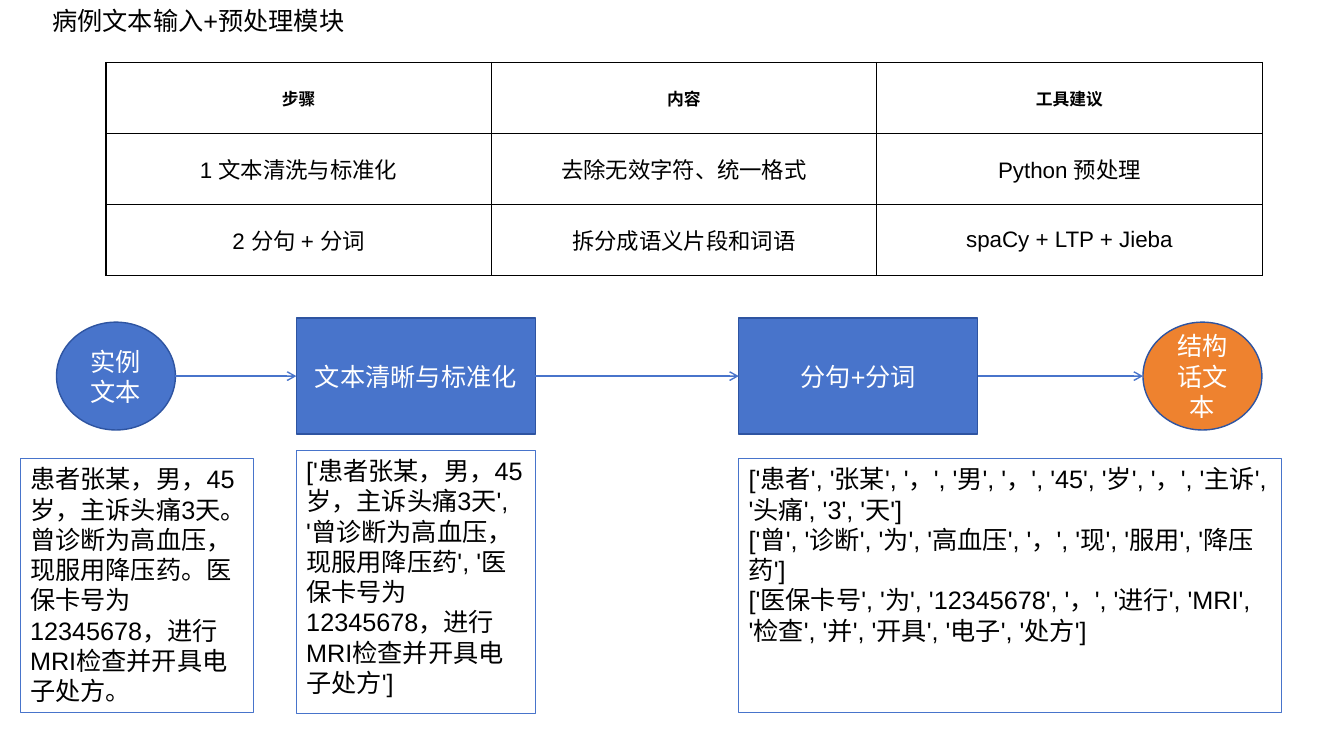
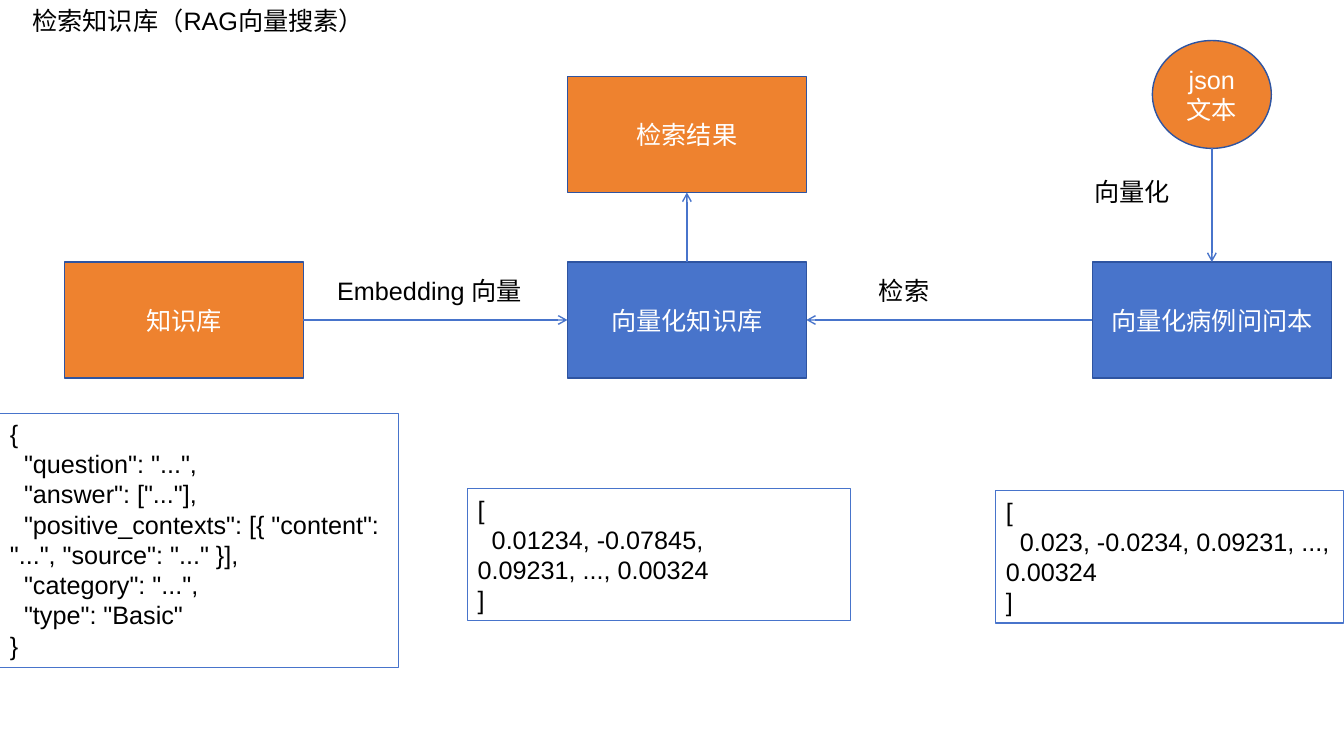
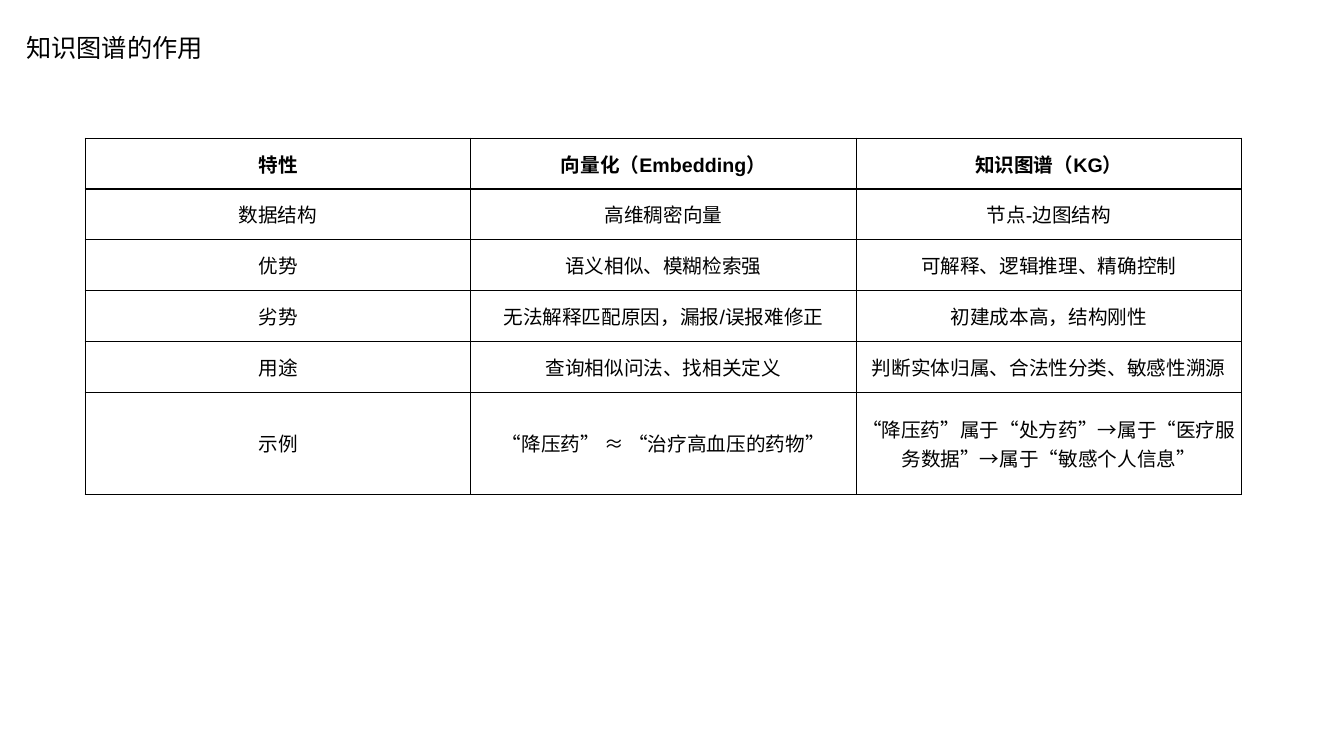
import pptx
import pptx.dml.color
import pptx.enum.shapes
import pptx.enum.text
import pptx.oxml
import pptx.oxml.ns
import pptx.util
from lxml import etree

SHAPES = pptx.enum.shapes.MSO_SHAPE
ALIGN = pptx.enum.text.PP_ALIGN
ANCHOR = pptx.enum.text.MSO_ANCHOR

# Shared style
WIDTH, HEIGHT = pptx.util.Inches(13.33), pptx.util.Inches(7.5)
FONT = "Arial"
BLUE, ORANGE, NAVY = "4874CB", "EE822F", "2E54A1"
BLACK, WHITE = "000000", "FFFFFF"
BODY_SIZE = 18

# Sizes shared by the diagrams, in percent of the slide
STEP = (17.78, 15.33)
CIRCLE = (8.85, 14.27)
LINE_HEIGHT = 5.33
TABLE_WIDTH = 86.03


def color(value):
    return pptx.dml.color.RGBColor.from_string(value)


def across(share):
    return round(WIDTH * share / 100)


def down(share):
    return round(HEIGHT * share / 100)


def area(left, top, width, height):
    return across(left), down(top), across(width), down(height)


def write(frame, text, size=BODY_SIZE, ink=BLACK, bold=False,
          align=ALIGN.LEFT, anchor=ANCHOR.TOP, indented=()):
    """Fill a text frame; the lines numbered in indented start further in."""
    frame.word_wrap = True
    frame.auto_size = pptx.enum.text.MSO_AUTO_SIZE.NONE
    frame.vertical_anchor = anchor
    frame.text = text
    for number, paragraph in enumerate(frame.paragraphs):
        paragraph.alignment = align
        if number in indented:
            properties = paragraph._p.get_or_add_pPr()
            properties.set("marL", "0")
            properties.set("indent", str(pptx.util.Inches(0.14)))
        for run in paragraph.runs:
            run.font.name = FONT
            run.font.size = pptx.util.Pt(size)
            run.font.bold = bold
            run.font.color.rgb = color(ink)


def titled_slide(deck, title, left=0, top=0, width=29.5, align=ALIGN.CENTER):
    slide = deck.slides.add_slide(deck.slide_layouts[5])
    heading = slide.shapes.title
    heading.left, heading.top, heading.width, heading.height = area(
        left, top, width, LINE_HEIGHT)
    write(heading.text_frame, title, align=align)
    return slide


def outlined(slide, preset, box, line, points):
    shape = slide.shapes.add_shape(preset, *area(*box))
    shape.shadow.inherit = False
    shape.line.color.rgb = color(line)
    shape.line.width = pptx.util.Pt(points)
    return shape


def node(slide, text, x, y, fill=BLUE, preset=SHAPES.RECTANGLE, size=STEP):
    """Filled diagram node centred on x, y."""
    width, height = size
    box = (x - width / 2, y - height / 2, width, height)
    shape = outlined(slide, preset, box, NAVY, 1)
    shape.fill.solid()
    shape.fill.fore_color.rgb = color(fill)
    write(shape.text_frame, text, ink=WHITE, align=ALIGN.CENTER,
          anchor=ANCHOR.MIDDLE)
    return shape


def circle(slide, text, x, y, fill):
    return node(slide, text, x, y, fill, SHAPES.OVAL, CIRCLE)


def sample(slide, text, *box, indented=()):
    """Outlined box showing example data."""
    shape = outlined(slide, SHAPES.RECTANGLE, box, BLUE, 0.75)
    shape.fill.background()
    write(shape.text_frame, text, indented=indented)


def label(slide, text, left, top, width):
    caption = slide.shapes.add_textbox(*area(left, top, width, LINE_HEIGHT))
    write(caption.text_frame, text)


def side(shape, name):
    middle_x = shape.left + shape.width // 2
    middle_y = shape.top + shape.height // 2
    return {"left": (shape.left, middle_y),
            "right": (shape.left + shape.width, middle_y),
            "top": (middle_x, shape.top),
            "bottom": (middle_x, shape.top + shape.height)}[name]


def arrow(slide, source, leaving, target, entering):
    link = slide.shapes.add_connector(
        pptx.enum.shapes.MSO_CONNECTOR.STRAIGHT,
        *side(source, leaving), *side(target, entering))
    link.line.color.rgb = color(BLUE)
    link.line.width = pptx.util.Pt(1)
    head = etree.SubElement(link.line._get_or_add_ln(),
                            pptx.oxml.ns.qn("a:tailEnd"))
    head.set("type", "arrow")
    etree.SubElement(link._element.spPr, pptx.oxml.ns.qn("a:effectLst"))


def add_borders(cell):
    properties = cell._tc.get_or_add_tcPr()
    for position, edge in enumerate(("lnL", "lnR", "lnT", "lnB")):
        properties.insert(position, pptx.oxml.parse_xml(
            f'<a:{edge} {pptx.oxml.ns.nsdecls("a")} w="12700"><a:solidFill>'
            f'<a:srgbClr val="{BLACK}"/></a:solidFill></a:{edge}>'))


def grid_table(slide, rows, left, top, heights, header_size, size):
    grid = slide.shapes.add_table(
        len(rows), len(rows[0]),
        *area(left, top, TABLE_WIDTH, sum(heights))).table
    grid.first_row = grid.horz_banding = False
    for r, (texts, height) in enumerate(zip(rows, heights)):
        grid.rows[r].height = down(height)
        for c, text in enumerate(texts):
            cell = grid.cell(r, c)
            cell.margin_left = cell.margin_right = 0
            cell.margin_top = cell.margin_bottom = 0
            cell.fill.solid()
            cell.fill.fore_color.rgb = color(WHITE)
            write(cell.text_frame, text, size=size if r else header_size,
                  bold=r == 0, align=ALIGN.CENTER)
            cell.vertical_anchor = ANCHOR.MIDDLE
            add_borders(cell)


def preprocessing(deck):
    slide = titled_slide(deck, "病例文本输入+预处理模块")
    grid_table(slide, [
        ("步骤", "内容", "工具建议"),
        ("1 文本清洗与标准化", "去除无效字符、统一格式", "Python 预处理"),
        ("2 分句 + 分词", "拆分成语义片段和词语", "spaCy + LTP + Jieba"),
    ], 7.88, 8.27, [9.4] * 3, header_size=12, size=16)

    # Processing chain
    lane = 49.75
    chain = [circle(slide, "实例文本", 8.63, lane, BLUE),
             node(slide, "文本清晰与标准化", 30.94, lane),
             node(slide, "分句+分词", 63.86, lane),
             circle(slide, "结构话文本", 89.47, lane, ORANGE)]
    for source, target in zip(chain, chain[1:]):
        arrow(slide, source, "right", target, "left")

    # Data after each step
    sample(slide, "患者张某，男，45岁，主诉头痛3天。曾诊断为高血压，现服用降压药。"
                  "医保卡号为12345678，进行MRI检查并开具电子处方。",
           1.5, 60.67, 17.4, 33.6)
    sample(slide, "['患者张某，男，45岁，主诉头痛3天', '曾诊断为高血压，现服用降压药', "
                  "'医保卡号为12345678，进行MRI检查并开具电子处方']",
           22.05, 59.6, 17.78, 34.75)
    sample(slide,
           "['患者', '张某', '，', '男', '，', '45', '岁', '，', '主诉', '头痛', '3', '天']\n"
           "['曾', '诊断', '为', '高血压', '，', '现', '服用', '降压药']\n"
           "['医保卡号', '为', '12345678', '，', '进行', 'MRI', '检查', '并', "
           "'开具', '电子', '处方']",
           54.97, 60.67, 40.4, 33.6)


def retrieval(deck):
    slide = titled_slide(deck, "检索知识库（RAG向量搜素）")

    # Nodes and flow
    lane, middle, right = 42.33, 51.11, 90.17
    knowledge = node(slide, "知识库", 13.69, lane, ORANGE)
    vectors = node(slide, "向量化知识库", middle, lane)
    case = node(slide, "向量化病例问问本", right, lane)
    result = node(slide, "检索结果", middle, 17.8, ORANGE)
    source = circle(slide, "json文本", right, 12.5, ORANGE)
    arrow(slide, knowledge, "right", vectors, "left")
    arrow(slide, source, "bottom", case, "top")
    arrow(slide, case, "left", vectors, "right")
    arrow(slide, vectors, "top", result, "bottom")
    label(slide, "Embedding 向量", 24.35, 35.73, 17.9)
    label(slide, "向量化", 80.7, 22.67, 11.93)
    label(slide, "检索", 64.65, 35.73, 11.93)

    # Data samples
    sample(slide, '{\n"question": "...",\n"answer": ["..."],\n'
                  '"positive_contexts": [{ "content": "...", "source": "..." }],\n'
                  '"category": "...",\n"type": "Basic"\n}',
           0, 54.67, 29.63, 33.6, indented=range(1, 6))
    sample(slide, "[\n0.01234, -0.07845, 0.09231, ..., 0.00324\n]",
           34.8, 64.67, 28.5, 17.47, indented=[1])
    sample(slide, "[\n0.023, -0.0234, 0.09231, ..., 0.00324\n]",
           74.1, 64.95, 25.88, 17.47, indented=[1])


def knowledge_graph(deck):
    slide = titled_slide(deck, "知识图谱的作用", 1.2, 3.6, 23.03, ALIGN.LEFT)
    grid_table(slide, [
        ("特性", "向量化（Embedding）", "知识图谱（KG）"),
        ("数据结构", "高维稠密向量", "节点-边图结构"),
        ("优势", "语义相似、模糊检索强", "可解释、逻辑推理、精确控制"),
        ("劣势", "无法解释匹配原因，漏报/误报难修正", "初建成本高，结构刚性"),
        ("用途", "查询相似问法、找相关定义", "判断实体归属、合法性分类、敏感性溯源"),
        ("示例", "“降压药” ≈ “治疗高血压的药物”",
         "“降压药”属于“处方药”→属于“医疗服务数据”→属于“敏感个人信息”"),
    ], 6.35, 18.27, [6.73] * 5 + [13.46], header_size=14, size=14)


def main():
    deck = pptx.Presentation()
    deck.slide_width, deck.slide_height = WIDTH, HEIGHT
    for build in (preprocessing, retrieval, knowledge_graph):
        build(deck)
    deck.save("out.pptx")


if __name__ == "__main__":
    main()
